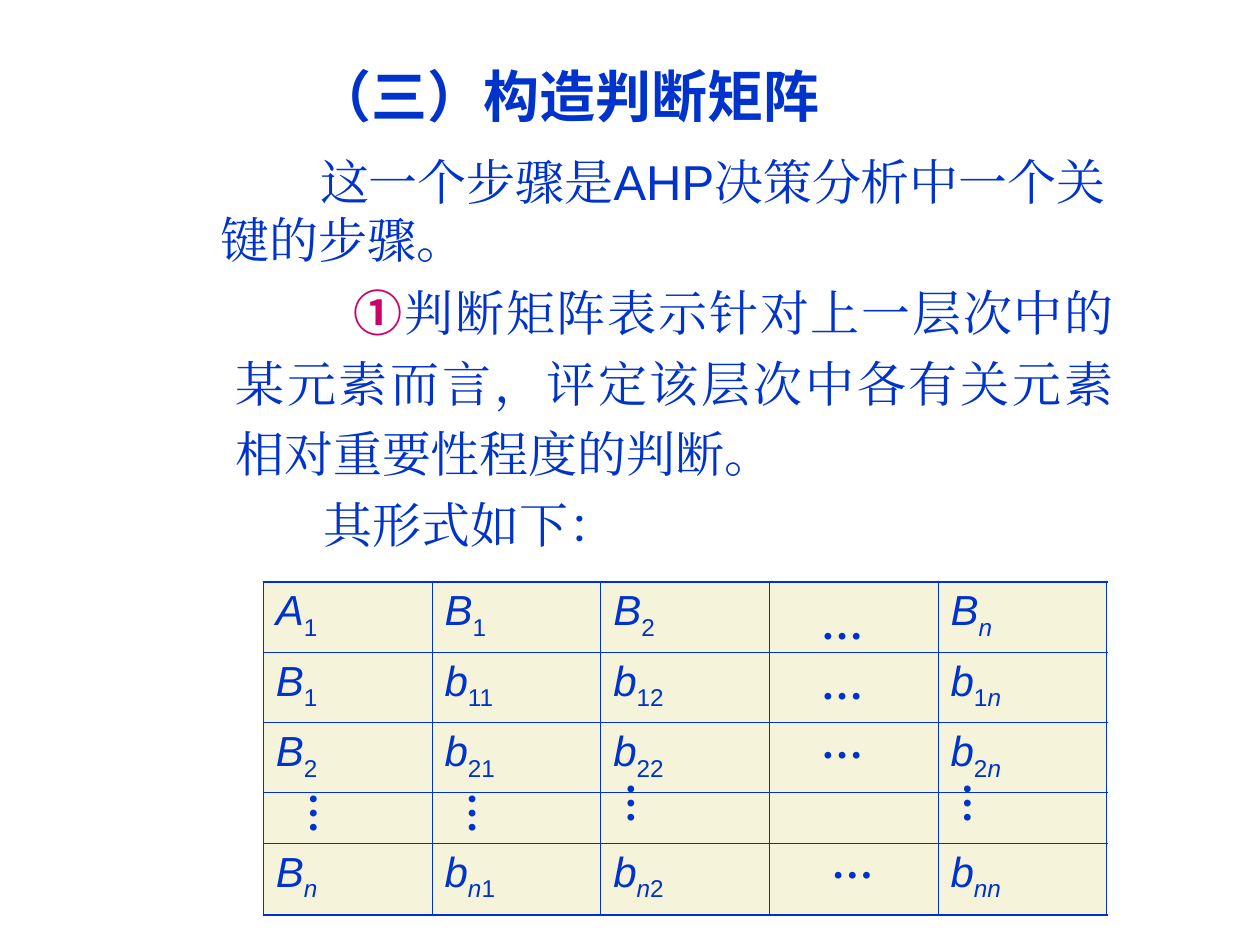
from itertools import groupby

from lxml.etree import SubElement
from pptx import Presentation
from pptx.dml.color import RGBColor
from pptx.enum.text import MSO_ANCHOR, PP_ALIGN
from pptx.oxml.ns import qn
from pptx.util import Pt

BLUE = RGBColor(0x00, 0x33, 0xCC)
MAGENTA = RGBColor(0xCC, 0x00, 0x66)
CREAM = RGBColor(0xF5, 0xF4, 0xDB)
SERIF, SANS, CJK = "Times New Roman", "Arial", "Noto Sans CJK SC"

MATRIX = [
    ["A_1", "B_1", "B_2", "", "B_n"],
    ["B_1", "b_11", "b_12", "", "b_1n"],
    ["B_2", "b_21", "b_22", "", "b_2n"],
    ["", "", "", "", ""],
    ["B_n", "b_n1", "b_n2", "", "b_nn"],
]
ROW_HEIGHTS = [40.2, 40.2, 40.2, 17.3, 41]
ACROSS_DOTS = [(462.2, 337.7), (462.2, 372.2), (462.2, 406.1), (468, 474.5)]
DOWN_DOTS = [(162, 445.7), (252.7, 445.7), (343.4, 439.9), (535.7, 439.9)]


def style(font, size, name=SERIF, color=BLUE, bold=False):
    font.size, font.name, font.bold = Pt(size), name, bold
    font.color.rgb = color


def add_span(para, text, size, name=SERIF, color=BLUE, bold=False):
    span = para.add_run()
    span.text = text
    style(span.font, size, name, color, bold)
    east_asian = SubElement(span.font._element, qn("a:ea"))
    east_asian.set("typeface", name)
    return span


def set_indent(para, first, left=0):
    props = para._p.get_or_add_pPr()
    props.set("marL", str(Pt(left)))
    props.set("indent", str(Pt(first)))


def place(shape, box):
    shape.left, shape.top, shape.width, shape.height = map(Pt, box)


def add_frame(page, box):
    frame = page.shapes.add_textbox(*map(Pt, box)).text_frame
    frame.word_wrap = True
    return frame


def add_title(page, box):
    title = page.shapes.title
    place(title, box)
    frame = title.text_frame
    frame.vertical_anchor = MSO_ANCHOR.TOP
    para = frame.paragraphs[0]
    para.alignment = PP_ALIGN.LEFT
    add_span(para, "（三）构造判断矩阵", 32, CJK, bold=True)


def add_intro(page, box):
    frame = add_frame(page, box)
    first, second = frame.paragraphs[0], frame.add_paragraph()
    set_indent(first, 88)
    for text, name in [("这一个步骤是", SERIF), ("AHP", SANS), ("决策分析中一个关", SERIF)]:
        add_span(first, text, 28, name)
    set_indent(second, 31.4)
    add_span(second, "键的步骤。", 28)


def add_explanation(page, box):
    frame = add_frame(page, box)
    point, lead_in = frame.paragraphs[0], frame.add_paragraph()
    for para, indent in [(point, 67.7), (lead_in, 50.4)]:
        set_indent(para, indent)
        para.alignment = PP_ALIGN.JUSTIFY
        para.line_spacing = 1.2
    add_span(point, "①", 28, CJK, MAGENTA, True)
    add_span(point, "判断矩阵表示针对上一层次中的某元素而言，"
                    "评定该层次中各有关元素相对重要性程度的判断。", 28)
    add_span(lead_in, "其形式如下：", 28)


def set_borders(cell, outer_sides):
    props = cell._tc.get_or_add_tcPr()
    for index, side in enumerate("LRTB"):
        line = SubElement(props, qn(f"a:ln{side}"))
        line.set("w", str(Pt(1.08 if side in outer_sides else 0.45)))
        fill = SubElement(line, qn("a:solidFill"))
        SubElement(fill, qn("a:srgbClr")).set("val", str(BLUE))


def write_symbol(para, symbol):
    """Write a letter with its subscript; digits stand upright."""
    letter, subscript = symbol.split("_")
    add_span(para, letter, 24, SANS).font.italic = True
    for is_digit, part in groupby(subscript, str.isdigit):
        span = add_span(para, "".join(part), 24, SANS)
        span.font.italic = not is_digit
        span.font._element.set("baseline", "-25000")


def add_matrix(page, box):
    last = len(MATRIX) - 1
    table = page.shapes.add_table(len(MATRIX), len(MATRIX[0]), *map(Pt, box)).table
    table.first_row = table.horz_banding = False
    for column in table.columns:
        column.width = Pt(box[2] / len(MATRIX[0]))
    for r, symbols in enumerate(MATRIX):
        table.rows[r].height = Pt(ROW_HEIGHTS[r])
        for c, symbol in enumerate(symbols):
            cell = table.cell(r, c)
            edges = {"L": c == 0, "R": c == last, "T": r == 0, "B": r == last}
            set_borders(cell, [side for side, outer in edges.items() if outer])
            cell.fill.solid()
            cell.fill.fore_color.rgb = CREAM
            if symbol:
                write_symbol(cell.text_frame.paragraphs[0], symbol)


def add_dots(page, box, vertical=False):
    frame = add_frame(page, box)
    if vertical:
        frame._txBody.bodyPr.set("vert", "eaVert")
        frame.margin_left = frame.margin_right = Pt(3.6)
        frame.margin_top = frame.margin_bottom = Pt(7.2)
    add_span(frame.paragraphs[0], "…", 24, bold=True)


def main():
    deck = Presentation()
    deck.slide_width, deck.slide_height = Pt(720), Pt(540)
    page = deck.slides.add_slide(deck.slide_layouts[5])
    add_title(page, (172.8, 31.7, 365.8, 46))
    add_intro(page, (87.8, 82.8, 702, 75))
    add_matrix(page, (150.5, 332.4, 482, 179))
    add_explanation(page, (127.4, 151.2, 516.2, 202.3))
    # Ellipses inside the matrix
    for left, top in DOWN_DOTS:
        add_dots(page, (left, top, 43.2, 26), vertical=True)
    for left, top in ACROSS_DOTS:
        add_dots(page, (left, top, 38, 36))
    deck.save("out.pptx")


if __name__ == "__main__":
    main()
